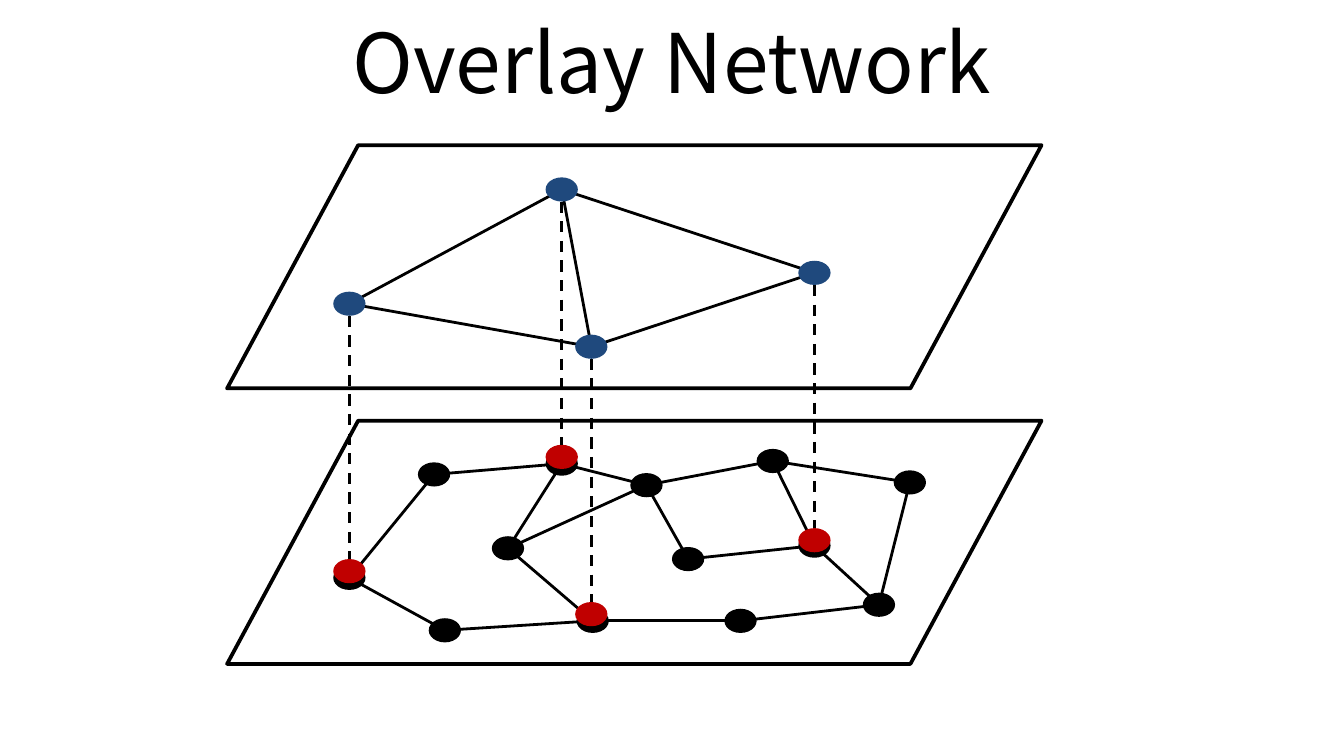
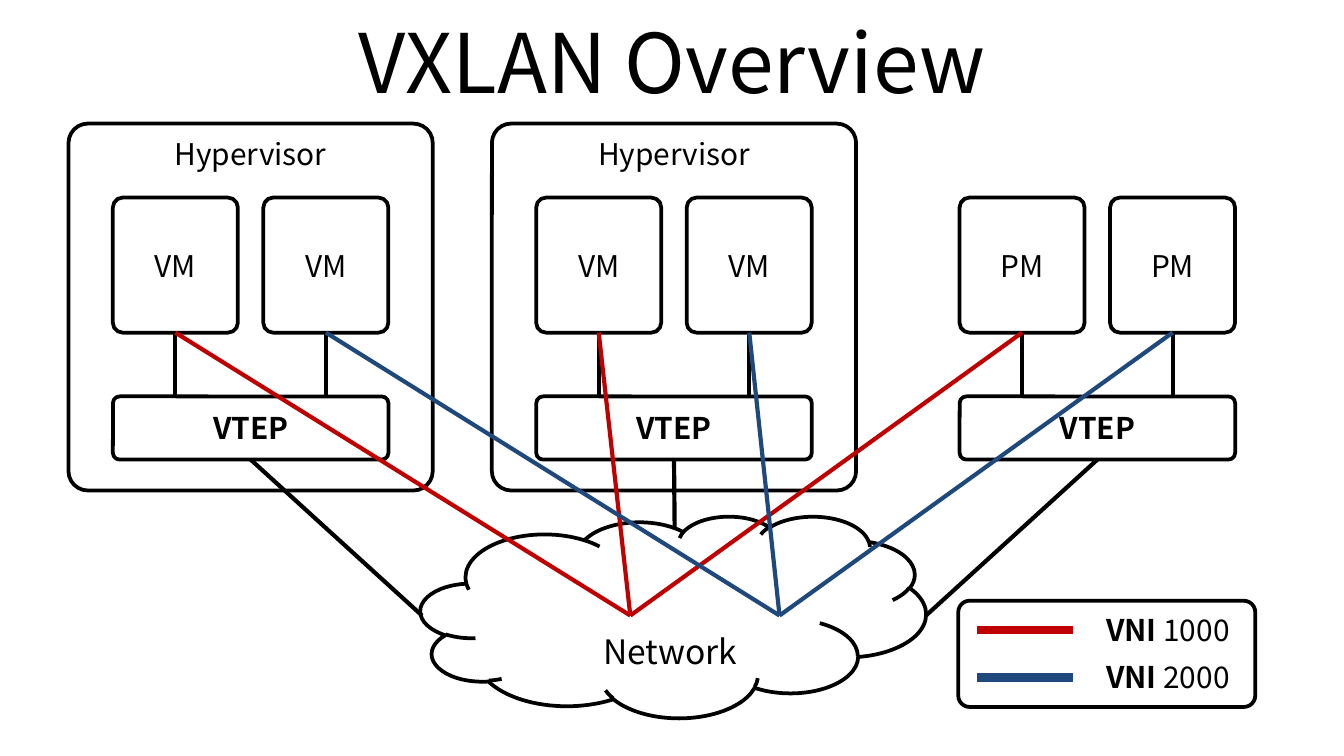
from itertools import product

from lxml import etree
from pptx import Presentation
from pptx import util as u
from pptx.dml.color import RGBColor
from pptx.enum import dml, shapes, text
from pptx.oxml.ns import qn

COLORS = {"ink": "000000", "paper": "FFFFFF", "red": "C00000", "blue": "1F497D"}
CELL = u.Inches(0.1)
SLIDE_COLUMNS, SLIDE_ROWS = 100, 56.25
FONT = "Noto Sans CJK KR"
KINDS = shapes.MSO_SHAPE
ANCHORS = text.MSO_ANCHOR

NODE_WIDTH, NODE_HEIGHT = 2.4, 1.8
LAYER_DROP = 19.9
PLANE = {"left": 16.9, "width": 60.6, "height": 18.1}
PLANE_TOPS = (31.3, 10.8)
HOSTS = {
    "a": (26, 43), "b": (37.8, 40.8), "c": (48.1, 36.1), "d": (55.1, 46.2),
    "e": (51.2, 41.6), "f": (32.3, 35.3), "g": (41.8, 34.5), "h": (57.5, 34.3),
    "i": (60.6, 40.6), "j": (65.4, 45), "k": (33.1, 46.9), "l": (44.1, 46.2),
    "m": (67.7, 35.9),
}
HOST_LINKS = "fa ka fg bg lk lb cg ec bc hc dl jd ih ji mh jm ie".split()
PEERS = {"a": (26, 22.6), "g": (41.8, 14.1), "l": (44, 25.8), "i": (60.6, 20.3)}
PEER_LINKS = "ga gl gi la il".split()

GROUP_LEFT, GROUP_PITCH = 5.1, 31.5
GROUPS = (("Hypervisor", "VM"), ("Hypervisor", "VM"), (None, "PM"))
INSET = 3.3
MACHINE_LEFTS = (INSET, INSET + 11.2)
MACHINE_TOP, MACHINE_WIDTH, MACHINE_HEIGHT = 14.7, 9.3, 10.05
MACHINE_BOTTOM = MACHINE_TOP + MACHINE_HEIGHT
VTEP_TOP, VTEP_WIDTH, VTEP_HEIGHT = 29.5, 20.5, 4.7
VTEP_BOTTOM = VTEP_TOP + VTEP_HEIGHT
UPLINK_ENDS = ((31.4, 45.8), (50.2, 39.2), (68.9, 45.8))
SEGMENTS = (("1000", "red", 46.9), ("2000", "blue", 58))
SEGMENT_ROW = 45.8
LEGEND_TOP, LEGEND_PITCH = 46.9, 3.5


def cells(*values):
    return [round(value * CELL) for value in values]


def color(name):
    return RGBColor.from_string(COLORS[name])


def apply(target, values):
    for name, value in values.items():
        setattr(target, name, value)


def write(shape, runs, size=16, anchor=ANCHORS.MIDDLE, **frame_values):
    frame = shape.text_frame
    apply(frame, {"word_wrap": True, "vertical_anchor": anchor, **frame_values})
    paragraph = frame.paragraphs[0]
    paragraph.alignment = text.PP_ALIGN.CENTER
    for words, bold in runs:
        run = paragraph.add_run()
        run.text = words
        apply(run.font, {"name": FONT, "size": u.Pt(size), "bold": bold})
        run.font.color.rgb = color("ink")


def add_box(slide, kind, place, fill="paper", line="ink", rounding=None):
    shape = slide.shapes.add_shape(kind, *cells(*place))
    shape.shadow.inherit = False
    if rounding is not None:
        shape.adjustments[0] = rounding
    if fill:
        shape.fill.solid()
        shape.fill.fore_color.rgb = color(fill)
    else:
        shape.fill.background()
    if line:
        shape.line.color.rgb = color(line)
        shape.line.width = u.Pt(2)
    else:
        shape.line.fill.background()
    return shape


def add_line(slide, start, end, line="ink", width=2.25, dash=None):
    connector = slide.shapes.add_connector(
        shapes.MSO_CONNECTOR.STRAIGHT, *cells(*start, *end))
    connector.line.color.rgb = color(line)
    apply(connector.line, {"width": u.Pt(width), "dash_style": dash})
    etree.SubElement(connector._element.spPr, qn("a:effectLst"))


def add_node(slide, center, fill):
    column, row = center
    place = (column - NODE_WIDTH / 2, row - NODE_HEIGHT / 2, NODE_WIDTH, NODE_HEIGHT)
    add_box(slide, KINDS.OVAL, place, fill, None)


def add_links(slide, nodes, links):
    for start, end in links:
        add_line(slide, nodes[start], nodes[end], width=1.5)


def add_titled_slide(presentation, title):
    slide = presentation.slides.add_slide(presentation.slide_layouts[6])
    box = slide.shapes.add_textbox(*cells(5, -0.2, 90, 9.4))
    write(box, [(title, False)], 44)
    return slide


def add_overlay_slide(presentation):
    slide = add_titled_slide(presentation, "Overlay Network")
    for top in PLANE_TOPS:
        place = (PLANE["left"], top, PLANE["width"], PLANE["height"])
        add_box(slide, KINDS.PARALLELOGRAM, place, rounding=0.539)
    for center in HOSTS.values():
        add_node(slide, center, "ink")
    add_links(slide, HOSTS, HOST_LINKS)
    for column, row in PEERS.values():
        add_node(slide, (column, row + LAYER_DROP), "red")
        add_line(slide, (column, row + NODE_HEIGHT / 2),
                 (column, row + LAYER_DROP - NODE_HEIGHT / 2),
                 width=1.5, dash=dml.MSO_LINE.DASH)
    add_links(slide, PEERS, PEER_LINKS)
    for center in PEERS.values():
        add_node(slide, center, "blue")


def group_left(index):
    return GROUP_LEFT + index * GROUP_PITCH


def machine_center(group, machine):
    return group_left(group) + MACHINE_LEFTS[machine] + MACHINE_WIDTH / 2


def add_group(slide, index, host, machine):
    left = group_left(index)
    rounded = KINDS.ROUNDED_RECTANGLE
    if host:
        frame = add_box(slide, rounded, (left, 9.2, 27.1, 27.3), rounding=0.053)
        write(frame, [(host, False)], anchor=ANCHORS.TOP)
    vtep = add_box(slide, rounded,
                   (left + INSET, VTEP_TOP, VTEP_WIDTH, VTEP_HEIGHT), rounding=0.107)
    write(vtep, [("VTEP", True)])
    for number, offset in enumerate(MACHINE_LEFTS):
        place = (left + offset, MACHINE_TOP, MACHINE_WIDTH, MACHINE_HEIGHT)
        write(add_box(slide, rounded, place, rounding=0.079), [(machine, False)])
        center = machine_center(index, number)
        add_line(slide, (center, MACHINE_BOTTOM), (center, VTEP_TOP))


def add_legend(slide):
    rounded = KINDS.ROUNDED_RECTANGLE
    for index, (number, line, _) in enumerate(SEGMENTS):
        row = LEGEND_TOP + index * LEGEND_PITCH
        add_line(slide, (72.7, row), (79.8, row), line, 4.5)
        label = add_box(slide, rounded, (78.9, row - 3.4, 16, 6.7), None, None, 0.079)
        write(label, [("VNI", True), (" " + number, False)])
    add_box(slide, rounded, (71.3, 44.7, 22.1, 7.9), None, rounding=0.107)


def add_vxlan_slide(presentation):
    slide = add_titled_slide(presentation, "VXLAN Overview")
    for index, (host, machine) in enumerate(GROUPS):
        add_group(slide, index, host, machine)
    cloud = add_box(slide, KINDS.CLOUD, (31.3, 38.4, 37.6, 15))
    write(cloud, [("Network", False)], 18, ANCHORS.BOTTOM, margin_left=u.Inches(0.32))
    for index, end in enumerate(UPLINK_ENDS):
        center = group_left(index) + INSET + VTEP_WIDTH / 2
        add_line(slide, (center, VTEP_BOTTOM), end)
    for machine, group in product(range(len(SEGMENTS)), range(len(GROUPS))):
        _, line, column = SEGMENTS[machine]
        add_line(slide, (machine_center(group, machine), MACHINE_BOTTOM),
                 (column, SEGMENT_ROW), line)
    add_legend(slide)


def main():
    presentation = Presentation()
    width, height = cells(SLIDE_COLUMNS, SLIDE_ROWS)
    apply(presentation, {"slide_width": width, "slide_height": height})
    add_overlay_slide(presentation)
    add_vxlan_slide(presentation)
    presentation.save("out.pptx")


if __name__ == "__main__":
    main()
